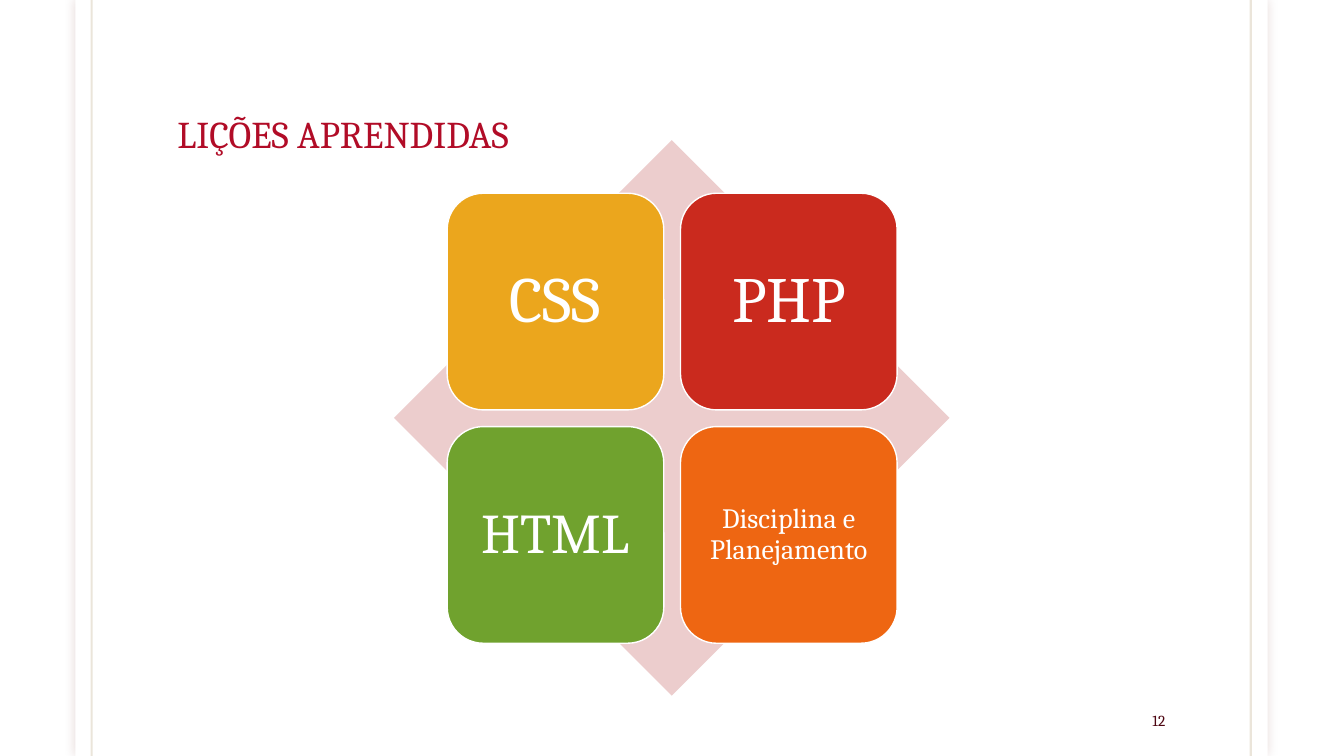
from lxml import etree
from pptx import Presentation, util as u
from pptx.dml.color import RGBColor
from pptx.enum import shapes, text
from pptx.oxml.ns import qn

COLORS = {
    "paper": "FFFFFF", "shadow": "65150F", "rule": "79540B",
    "title": "B10C27", "number": "4D0511", "diamond": "ECCDCD",
    "gold": "EBA61D", "red": "CA2A1E", "green": "70A22E", "orange": "EE6612",
}
WIDTH, HEIGHT = 33.87, 19.05


class LessonSlide:
    font = "Cambria"

    def __init__(self, deck):
        self.page = deck.slides.add_slide(deck.slide_layouts[5])

    def rgb(self, name):
        return RGBColor.from_string(COLORS[name])

    def add_alpha(self, parent, name, percent):
        color = etree.SubElement(parent, qn("a:srgbClr"), val=COLORS[name])
        etree.SubElement(color, qn("a:alpha"), val=str(percent * 1000))

    def set_words(self, box, words, size, color, align, anchor, inset=0.25, spacing=1.0):
        frame = box.text_frame
        frame.text = words
        frame.word_wrap = True
        frame.auto_size = text.MSO_AUTO_SIZE.NONE
        frame.vertical_anchor = anchor
        frame.margin_left = frame.margin_right = u.Cm(inset)
        frame.margin_top = frame.margin_bottom = u.Cm(min(inset, 0.13))
        para = frame.paragraphs[0]
        para.alignment = align
        para.line_spacing = spacing
        span = para.runs[0]
        span.font.name = self.font
        span.font.size = u.Pt(size)
        span.font.color.rgb = self.rgb(color)

    def shape(self, kind, left, top, width, height, fill, outline=None):
        box = self.page.shapes.add_shape(kind, *map(u.Cm, (left, top, width, height)))
        box.shadow.inherit = False
        box.fill.solid()
        box.fill.fore_color.rgb = self.rgb(fill)
        if outline:
            box.line.color.rgb = self.rgb(outline)
            box.line.width = u.Pt(1)
        else:
            box.line.fill.background()
        return box

    def paper(self, left, width):
        sheet = self.shape(shapes.MSO_SHAPE.RECTANGLE, left, 0, width, HEIGHT, "paper")
        effects = sheet.element.spPr.find(qn("a:effectLst"))
        glow = etree.SubElement(effects, qn("a:outerShdw"), blurRad=str(u.Pt(7)),
                                dist="0", dir="0", algn="ctr", rotWithShape="0")
        self.add_alpha(glow, "shadow", 15)

    def rule(self, x):
        rule = self.page.shapes.add_connector(
            shapes.MSO_CONNECTOR.STRAIGHT, u.Cm(x), 0, u.Cm(x), u.Cm(HEIGHT))
        rule.line.width = u.Pt(1.5)
        rule.line.color.rgb = self.rgb("rule")
        color = rule.element.spPr.find(".//" + qn("a:srgbClr"))
        etree.SubElement(color, qn("a:alpha"), val="15000")
        etree.SubElement(rule.element.spPr, qn("a:effectLst"))

    def title(self, words):
        box = self.page.shapes.title
        box.left, box.top, box.width, box.height = map(u.Cm, (4.22, 0.89, 25.4, 3.18))
        self.set_words(box, words, 27, "title", text.PP_ALIGN.LEFT,
                       text.MSO_ANCHOR.BOTTOM, spacing=0.85)
        # Bring the title in front of the paper
        box.element.getparent().append(box.element)

    def number(self, words):
        box = self.page.shapes.add_textbox(*map(u.Cm, (27.08, 17.78, 2.54, 0.76)))
        self.set_words(box, words, 11, "number", text.PP_ALIGN.RIGHT,
                       text.MSO_ANCHOR.MIDDLE)

    def tile(self, left, top, side, fill, words, size, inset):
        box = self.shape(shapes.MSO_SHAPE.ROUNDED_RECTANGLE, left, top, side, side,
                         fill, "paper")
        self.set_words(box, words, size, "paper", text.PP_ALIGN.CENTER,
                       text.MSO_ANCHOR.MIDDLE, inset, 0.9)


def main():
    deck = Presentation()
    deck.slide_width, deck.slide_height = u.Cm(WIDTH), u.Cm(HEIGHT)
    slide = LessonSlide(deck)

    # Paper with its side rules
    slide.paper(1.9, 30.05)
    for x in (2.31, 31.52):
        slide.rule(x)

    # Title and page number
    slide.title("LIÇÕES APRENDIDAS")
    slide.number("12")

    # Diamond behind a two by two grid of tiles
    slide.shape(shapes.MSO_SHAPE.DIAMOND, 9.93, 3.53, 14.0, 14.0, "diamond")
    lessons = [
        ("CSS", "gold", 46, 0.48), ("PHP", "red", 46, 0.48),
        ("HTML", "green", 40, 0.43), ("Disciplina e Planejamento", "orange", 20, 0.2),
    ]
    side, step = 5.46, 5.88
    for index, (words, fill, size, inset) in enumerate(lessons):
        row, column = divmod(index, 2)
        slide.tile(11.27 + column * step, 4.87 + row * step, side, fill, words, size, inset)

    deck.save("out.pptx")


if __name__ == "__main__":
    main()
